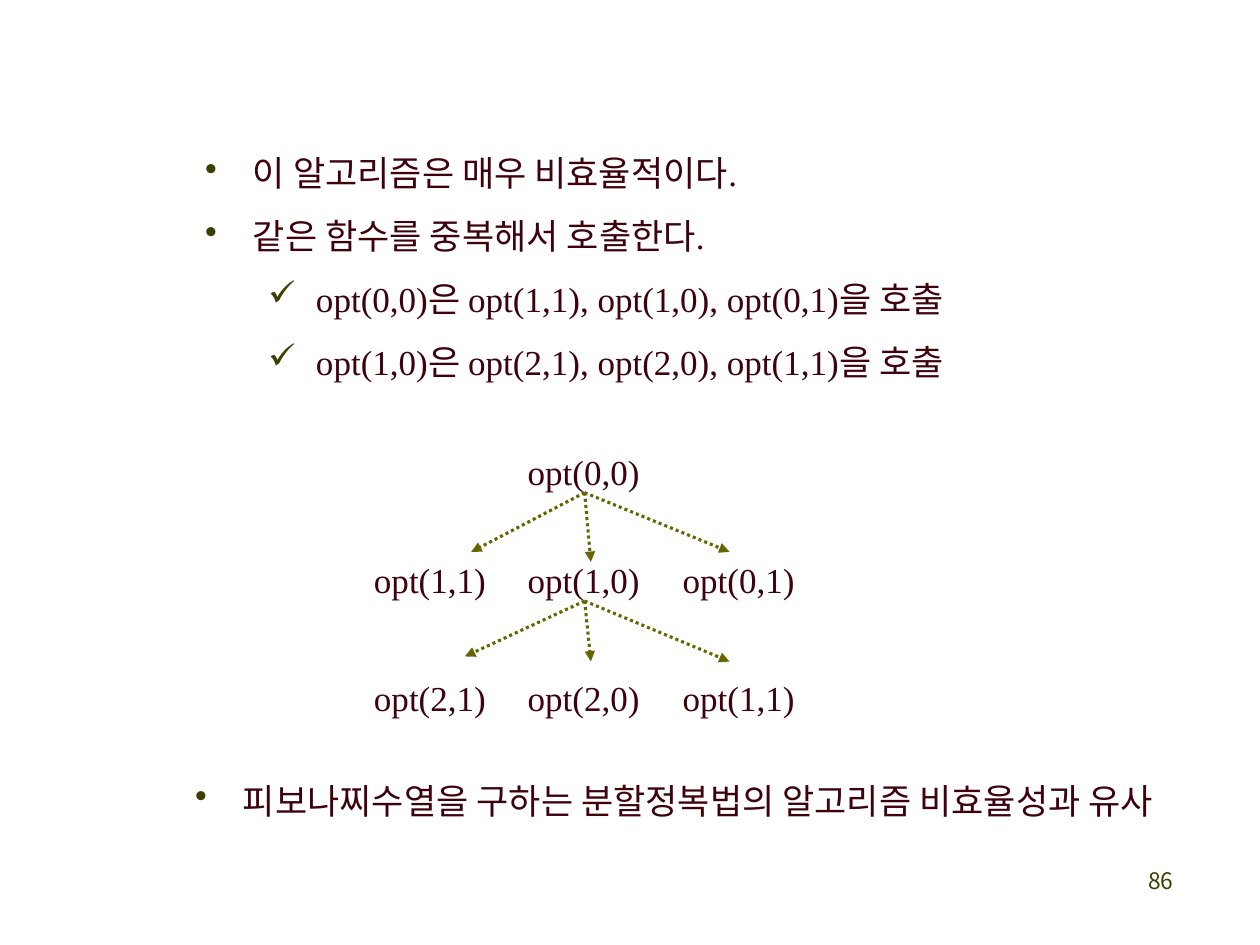
from lxml import etree
from pptx import Presentation
from pptx import util as u
from pptx.dml.color import RGBColor
from pptx.enum import dml, shapes, text
from pptx.oxml import ns

INK, OLIVE, ARROW = "3E020C", "3F3E00", "666600"
LATIN, KOREAN = "Times New Roman", "Noto Sans CJK KR"


def color(value):
    return RGBColor.from_string(value)


def add_text(left, top, width, height, lines, bullets="", wrap=True):
    box = page.shapes.add_textbox(*map(u.Inches, (left, top, width, height)))
    frame = box.text_frame
    frame.word_wrap = wrap
    for index, line in enumerate(lines):
        para = frame.paragraphs[0] if index == 0 else frame.add_paragraph()
        para.line_spacing = 1.5
        if bullets:
            para.level = 1 if bullets[index] == "✓" else 0
            props = para._p.get_or_add_pPr()
            props.set("marL", str(u.Inches(0.38 + 0.5 * para.level)))
            props.set("indent", str(-u.Inches(0.38)))
            tint = etree.SubElement(props, ns.qn("a:buClr"))
            etree.SubElement(tint, ns.qn("a:srgbClr"), val=OLIVE)
            etree.SubElement(props, ns.qn("a:buChar"), char=bullets[index])
        span = para.add_run()
        span.text = line
        span.font.name = LATIN
        span.font.size = u.Pt(20)
        span.font.color.rgb = color(INK)
        etree.SubElement(span._r.get_or_add_rPr(), ns.qn("a:ea"), typeface=KOREAN)
    return box


deck = Presentation()
deck.slide_width, deck.slide_height = u.Inches(10), u.Inches(7.5)
page = deck.slides.add_slide(deck.slide_layouts[6])

number = page.shapes.add_textbox(*map(u.Inches, (7.33, 6.83, 2.08, 0.5)))
para = number.text_frame.paragraphs[0]
para.alignment = text.PP_ALIGN.RIGHT
span = para.add_run()
span.text = "86"
span.font.name = KOREAN
span.font.size = u.Pt(13)
span.font.color.rgb = color(OLIVE)

add_text(1.53, 0.99, 6.2, 2.12, [
    "이 알고리즘은 매우 비효율적이다.",
    "같은 함수를 중복해서 호출한다.",
    "opt(0,0)은 opt(1,1), opt(1,0), opt(0,1)을 호출",
    "opt(1,0)은 opt(2,1), opt(2,0), opt(1,1)을 호출",
], bullets="••✓✓")

columns = [2.87, 4.09, 5.32]
rows = [
    (3.36, [None, "opt(0,0)", None]),
    (4.22, ["opt(1,1)", "opt(1,0)", "opt(0,1)"]),
    (5.15, ["opt(2,1)", "opt(2,0)", "opt(1,1)"]),
]
parents = []
for top, calls in rows:
    for left, call in zip(columns, calls):
        if call:
            label = add_text(left, top, 1.1, 0.55, [call], wrap=False)
            if left == columns[1]:
                parents.append(label)

arrow_ends = [
    [(3.74, 4.38), (4.69, 4.46), (5.79, 4.38)],
    [(3.69, 5.21), (4.69, 5.25), (5.79, 5.25)],
]
for parent, ends in zip(parents, arrow_ends):
    for x, y in ends:
        arrow = page.shapes.add_connector(
            shapes.MSO_CONNECTOR.STRAIGHT, 0, 0, u.Inches(x), u.Inches(y))
        arrow.begin_connect(parent, 2)
        arrow.line.color.rgb = color(ARROW)
        arrow.line.width = u.Pt(1.75)
        arrow.line.dash_style = dml.MSO_LINE.ROUND_DOT
        etree.SubElement(arrow.line._get_or_add_ln(), ns.qn("a:tailEnd"), type="triangle")
        etree.SubElement(arrow._element.spPr, ns.qn("a:effectLst"))

add_text(1.45, 5.97, 8.11, 1.11,
         ["피보나찌수열을 구하는 분할정복법의 알고리즘 비효율성과 유사"], bullets="•")

deck.save("out.pptx")
